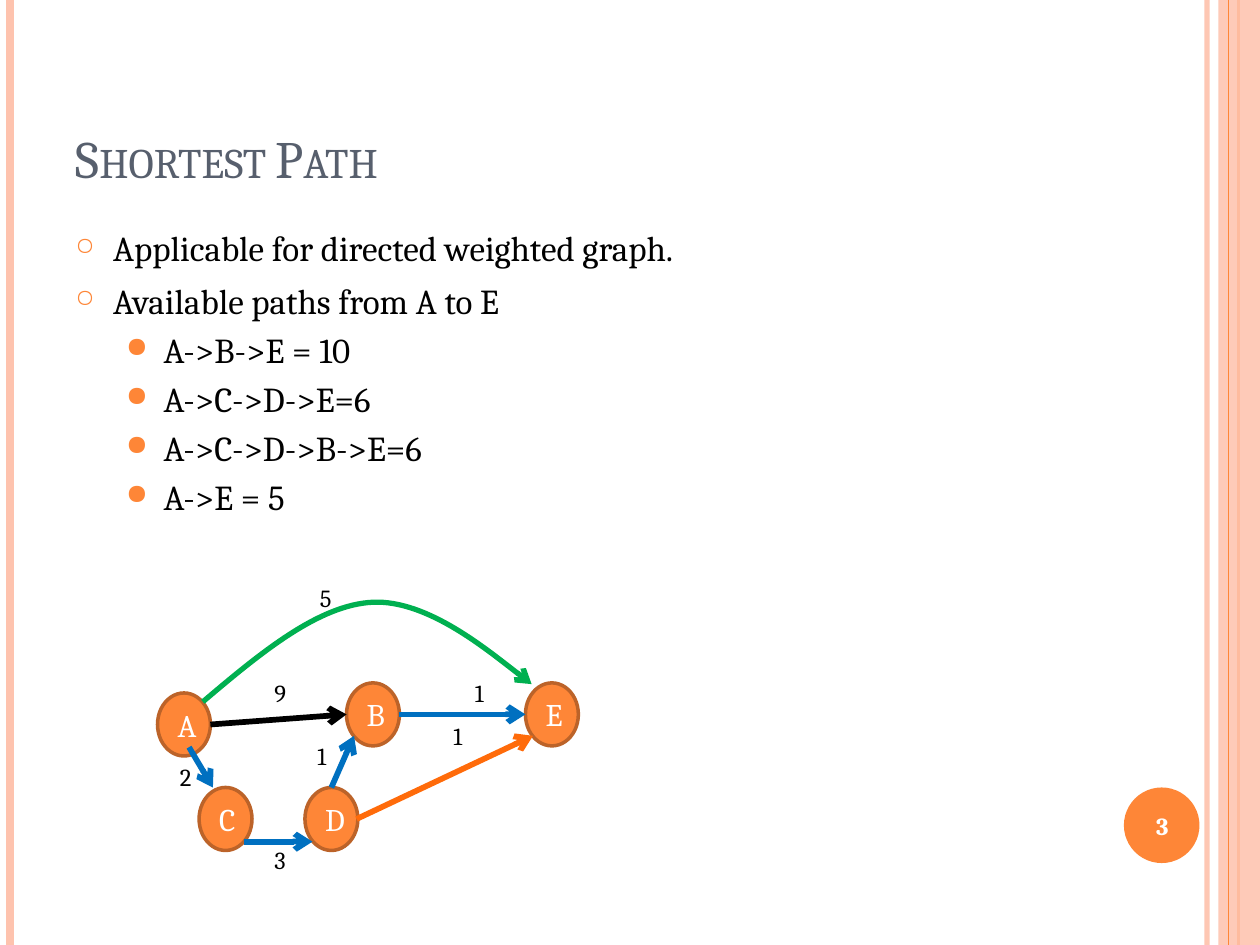
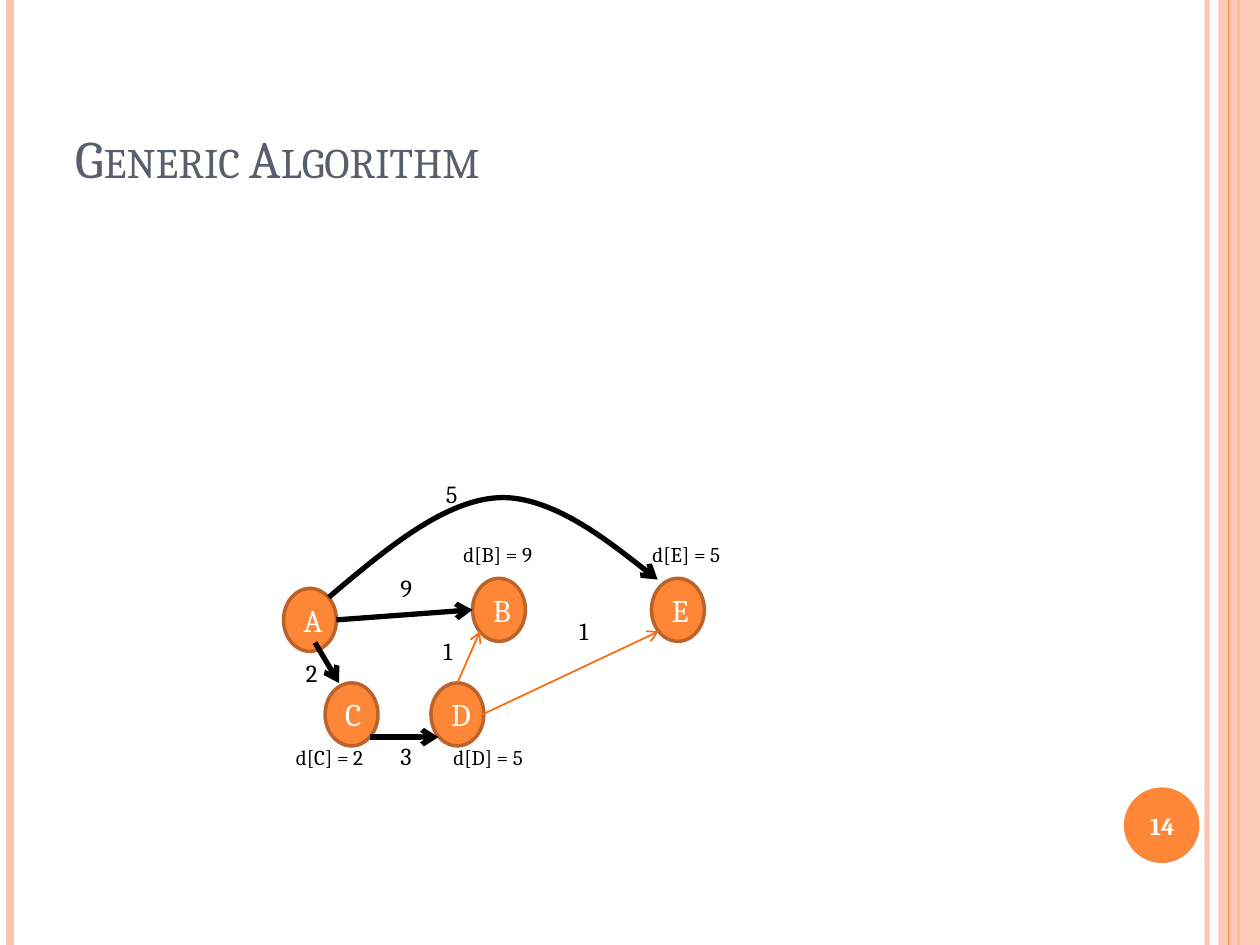
from dataclasses import dataclass

import pptx
import pptx.util
import pptx.dml.color
import pptx.enum.shapes
import pptx.enum.text
import pptx.oxml
import pptx.oxml.ns
from pptx.util import Inches

SHAPE = pptx.enum.shapes.MSO_SHAPE
ALIGN = pptx.enum.text.PP_ALIGN
ANCHOR = pptx.enum.text.MSO_ANCHOR
FIT = pptx.enum.text.MSO_AUTO_SIZE
qn = pptx.oxml.ns.qn


@dataclass(frozen=True)
class Theme:
    font: str = "Cambria"
    accent: str = "FE8637"
    band: str = "FEC3AE"
    node_line: str = "BC6329"
    edge: str = "FF6B0A"
    title: str = "575F6D"
    black: str = "000000"
    white: str = "FFFFFF"
    blue: str = "0070C0"
    green: str = "00B050"
    title_size: int = 30
    body_size: int = 20
    node_size: int = 18
    label_size: int = 14
    distance_size: int = 12


THEME = Theme()

# Positions inside the graph, in inches from its top left corner
NODE_WIDTH, NODE_HEIGHT = 0.42, 0.5
NODES = {"A": (0, 0.92), "D": (1.17, 1.67), "C": (0.33, 1.67),
         "B": (1.5, 0.84), "E": (2.92, 0.84)}
EDGES = {
    "AB": ((0.42, 1.17), (1.5, 1.09)),
    "AC": ((0.25, 1.35), (0.44, 1.67)),
    "CD": ((0.69, 2.1), (1.23, 2.1)),
    "DE": ((1.58, 1.92), (2.98, 1.26)),
    "DB": ((1.38, 1.67), (1.56, 1.26)),
    "BE": ((1.92, 1.09), (2.92, 1.09)),
}
ARC_AE = ((0.36, 0.99), (0.82, 0.6), (1.28, 0.22), (1.71, 0.2),
          (2.15, 0.18), (2.97, 0.85), (2.97, 0.85))
WEIGHTS = {"AB": ("9", 0.83, 0.75), "AE": ("5", 1.19, 0), "AC": ("2", 0.08, 1.42),
           "CD": ("3", 0.83, 2.08), "DE": ("1", 2.25, 1.09), "DB": ("1", 1.17, 1.25),
           "BE": ("1", 2.42, 0.75)}


def rgb(value):
    return pptx.dml.color.RGBColor.from_string(value)


def apply(target, values):
    for name, value in values.items():
        setattr(target, name, value)


def add_child(parent, tag, **attributes):
    child = pptx.oxml.parse_xml(f'<{tag} {pptx.oxml.ns.nsdecls("a")}/>')
    for name, value in attributes.items():
        child.set(name, str(value))
    parent.append(child)
    return child


def set_alpha(shape, percent):
    colour = next(shape.element.spPr.iter(qn("a:srgbClr")))
    add_child(colour, "a:alpha", val=percent * 1000)


def write(para, text, size, color, bold=False):
    span = para.add_run()
    span.text = text
    apply(span.font, {"name": THEME.font, "size": pptx.util.Pt(size), "bold": bold})
    span.font.color.rgb = rgb(color)
    return span


def style_line(shape, color, width, arrow=False):
    shape.line.color.rgb = rgb(color)
    shape.line.width = pptx.util.Pt(width)
    if arrow:
        add_child(shape.element.spPr.find(qn("a:ln")), "a:tailEnd", type="arrow")


def add_line(page, start, end, color, width, arrow=False):
    line = page.shapes.add_connector(
        pptx.enum.shapes.MSO_CONNECTOR.STRAIGHT,
        *(Inches(value) for value in (*start, *end)))
    style_line(line, color, width, arrow)
    add_child(line.element.spPr, "a:effectLst")
    return line


def add_filled(page, kind, box, color):
    shape = page.shapes.add_shape(kind, *(Inches(value) for value in box))
    shape.shadow.inherit = False
    shape.fill.solid()
    shape.fill.fore_color.rgb = rgb(color)
    shape.line.fill.background()
    return shape


def add_text_box(page, box, wrap, **frame_values):
    text_box = page.shapes.add_textbox(*(Inches(value) for value in box))
    apply(text_box.text_frame, {"word_wrap": wrap, **frame_values})
    return text_box.text_frame


def add_bands(page):
    def full_height(x, color, width):
        return add_line(page, (x, 0), (x, 7.5), color, width)

    set_alpha(full_height(9.58, THEME.band, 3), 93)
    full_height(0.08, THEME.band, 4.5)
    full_height(9.83, THEME.accent, 1.5)
    set_alpha(add_filled(page, SHAPE.RECTANGLE, (9.67, 0, 0.33, 7.5), THEME.band), 87)
    full_height(9.75, THEME.accent, 0.75)


def add_page_number(page, number):
    add_filled(page, SHAPE.OVAL, (8.92, 6.25, 0.6, 0.6), THEME.accent)
    frame = add_text_box(page, (8.89, 6.27, 0.67, 0.57), True,
                         vertical_anchor=ANCHOR.MIDDLE)
    para = frame.paragraphs[0]
    para.alignment = ALIGN.CENTER
    write(para, str(number), THEME.label_size, THEME.white, bold=True)


def add_page(deck, title, number):
    page = deck.slides.add_slide(deck.slide_layouts[5])
    add_bands(page)
    holder = page.shapes.title
    apply(holder, {"left": Inches(0.5), "top": Inches(0.3),
                   "width": Inches(8.17), "height": Inches(1.25)})
    apply(holder.text_frame, {"vertical_anchor": ANCHOR.BOTTOM, "word_wrap": True,
                              "auto_size": FIT.NONE})
    para = holder.text_frame.paragraphs[0]
    para.alignment = ALIGN.LEFT
    span = write(para, title, THEME.title_size, THEME.title)
    span.font.element.set("cap", "small") if hasattr(span.font, "element") else \
        para.runs[0].font.fill  # keeps the run properties in place
    next(holder.element.iter(qn("a:rPr"))).set("cap", "small")
    add_page_number(page, number)
    return page


def add_bullets(page, box, items):
    """Items are pairs of level and text."""
    levels = [{"margin": 0.3, "before": 6, "mark": "○", "percent": 70},
              {"margin": 0.7, "before": 4, "mark": "●", "percent": 80}]
    frame = add_text_box(page, box, True)
    for index, (level, text) in enumerate(items):
        para = frame.add_paragraph() if index else frame.paragraphs[0]
        look = levels[level]
        apply(para, {"level": level, "space_before": pptx.util.Pt(look["before"])})
        write(para, text, THEME.body_size, THEME.black)
        properties = para._p.get_or_add_pPr()
        properties.set("marL", str(Inches(look["margin"])))
        properties.set("indent", str(Inches(-0.3)))
        add_child(add_child(properties, "a:buClr"), "a:srgbClr", val=THEME.accent)
        add_child(properties, "a:buSzPct", val=look["percent"] * 1000)
        add_child(properties, "a:buChar", char=look["mark"])


def add_arc(page, points, color, width):
    """Draw a chain of cubic curves: a start, then three points for each curve."""
    start, *rest = [(Inches(x), Inches(y)) for x, y in points]
    builder = page.shapes.build_freeform(*start)
    builder.add_line_segments(rest, close=False)
    arc = builder.convert_to_shape()
    segments = list(arc.element.iter(qn("a:lnTo")))
    outline = segments[0].getparent()
    for first in range(0, len(segments), 3):
        curve = add_child(outline, "a:cubicBezTo")
        for segment in segments[first:first + 3]:
            curve.append(segment[0])
            outline.remove(segment)
    arc.fill.background()
    arc.shadow.inherit = False
    style_line(arc, color, width, arrow=True)


def add_label(page, box, text, size):
    frame = add_text_box(page, box, False, auto_size=FIT.SHAPE_TO_FIT_TEXT)
    write(frame.paragraphs[0], text, size, THEME.black)


def add_graph(page, left, top, edge_styles, distances=()):
    """Edge styles map an edge to its colour and width; only these edges are drawn."""
    def place(point):
        return left + point[0], top + point[1]

    for name, corner in NODES.items():
        node = add_filled(page, SHAPE.OVAL, (*place(corner), NODE_WIDTH, NODE_HEIGHT),
                          THEME.accent)
        style_line(node, THEME.node_line, 2)
        node.text_frame.vertical_anchor = ANCHOR.MIDDLE
        para = node.text_frame.paragraphs[0]
        para.alignment = ALIGN.CENTER
        write(para, name, THEME.node_size, THEME.white)
    for edge, (color, width) in edge_styles.items():
        if edge == "AE":
            add_arc(page, [place(point) for point in ARC_AE], color, width)
        else:
            start, end = EDGES[edge]
            add_line(page, place(start), place(end), color, width, arrow=True)
        weight, *corner = WEIGHTS[edge]
        add_label(page, (*place(corner), 0.31, 0.34), weight, THEME.label_size)
    for text, *corner in distances:
        add_label(page, (*place(corner), 0.82, 0.3), text, THEME.distance_size)


def build_shortest_path(deck):
    page = add_page(deck, "Shortest Path", 3)
    add_bullets(page, (0.5, 1.75, 8.17, 5.33), [
        (0, "Applicable for directed weighted graph."),
        (0, "Available paths from A to E"),
        (1, "A->B->E = 10"),
        (1, "A->C->D->E=6"),
        (1, "A->C->D->B->E=6"),
        (1, "A->E = 5"),
    ])
    route = dict.fromkeys(("BE", "AC", "CD", "DB"), (THEME.blue, 3.25))
    add_graph(page, 1.25, 4.58, {**route, "AB": (THEME.black, 3.25),
                                 "DE": (THEME.edge, 3.25), "AE": (THEME.green, 3)})


def build_generic_algorithm(deck):
    page = add_page(deck, "Generic Algorithm", 14)
    visited = dict.fromkeys(("AB", "AC", "CD", "AE"), (THEME.black, 3))
    waiting = dict.fromkeys(("DE", "DB"), (THEME.edge, 1))
    add_graph(page, 2.25, 3.75, {**visited, **waiting}, [
        ("d[B] = 9", 1.33, 0.5), ("d[E] = 5", 2.83, 0.5),
        ("d[C] = 2", 0, 2.11), ("d[D] = 5", 1.25, 2.11),
    ])


def main():
    deck = pptx.Presentation()
    apply(deck, {"slide_width": Inches(10), "slide_height": Inches(7.5)})
    build_shortest_path(deck)
    build_generic_algorithm(deck)
    deck.save("out.pptx")


if __name__ == "__main__":
    main()
